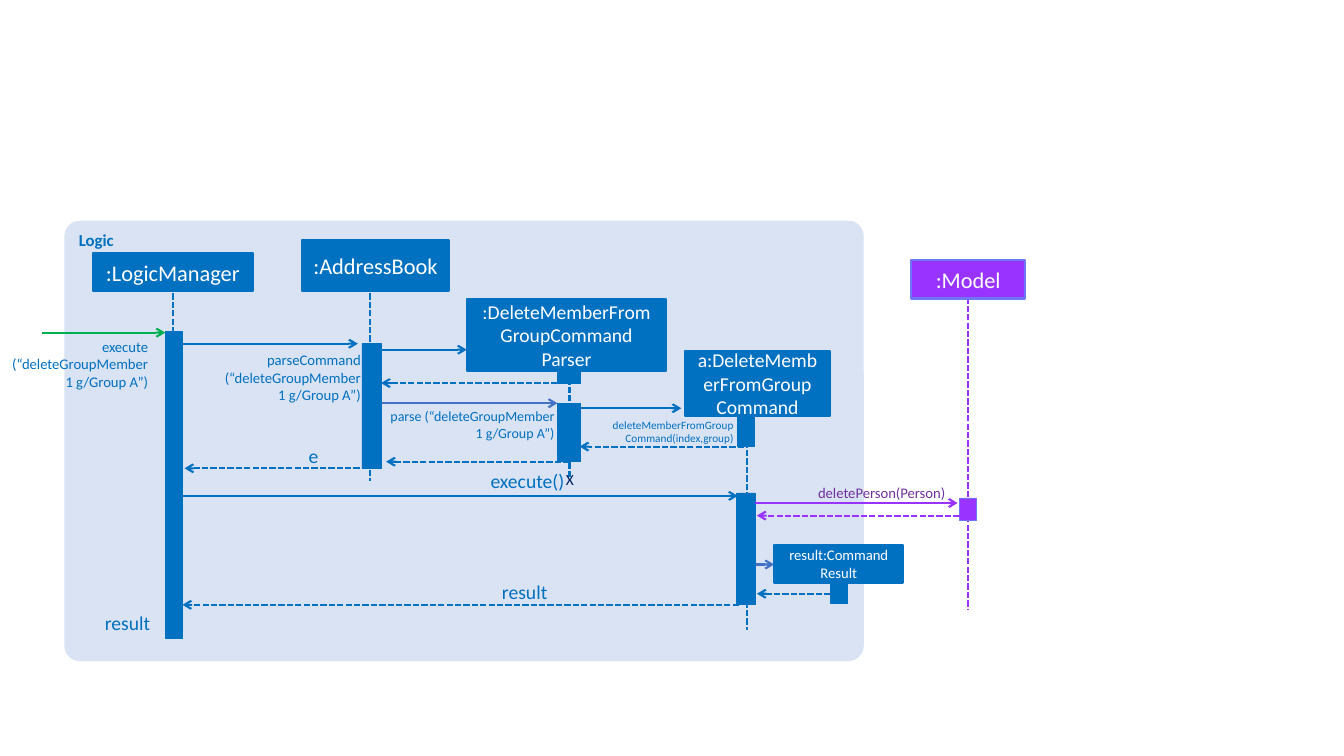
from lxml import etree
from pptx import Presentation
from pptx.dml.color import RGBColor
from pptx.enum import dml, shapes, text
from pptx.oxml import ns
from pptx.util import Pt

BLUE = RGBColor(0x00, 0x70, 0xC0)
MID_BLUE = RGBColor(0x44, 0x72, 0xC4)
NAVY = RGBColor(0x00, 0x20, 0x60)
PALE_BLUE = RGBColor(0xDA, 0xE3, 0xF3)
PERIWINKLE = RGBColor(0x6F, 0x75, 0xF7)
VIOLET = RGBColor(0x99, 0x33, 0xFF)
PURPLE = RGBColor(0x70, 0x30, 0xA0)
GREEN = RGBColor(0x00, 0xB0, 0x50)
WHITE = RGBColor(0xFF, 0xFF, 0xFF)

deck = Presentation()
deck.slide_width, deck.slide_height = Pt(960), Pt(540)
page = deck.slides.add_slide(deck.slide_layouts[6])


def add_block(wording, area, fill=None, border=None, weight=1.5, size=14,
              color=WHITE, bold=False, align=text.PP_ALIGN.CENTER,
              anchor=text.MSO_ANCHOR.MIDDLE, kind=shapes.MSO_SHAPE.RECTANGLE):
    """Add a filled shape with text, or a text box without margins if fill is None."""
    left, top, width, height = map(Pt, area)
    if fill is None:
        box = page.shapes.add_textbox(left, top, width, height)
        frame = box.text_frame
        frame.margin_left = frame.margin_right = 0
        frame.margin_top = frame.margin_bottom = 0
    else:
        box = page.shapes.add_shape(kind, left, top, width, height)
        box.shadow.inherit = False
        box.fill.solid()
        box.fill.fore_color.rgb = fill
        if border is None:
            box.line.fill.background()
        else:
            box.line.color.rgb = border
            box.line.width = Pt(weight)
        frame = box.text_frame
    frame.word_wrap = True
    frame.vertical_anchor = anchor
    frame.text = wording
    for para in frame.paragraphs:
        para.alignment = align
        for span in para.runs:
            span.font.name = "Calibri"
            span.font.size = Pt(size)
            span.font.bold = bold
            span.font.color.rgb = color
    return box


def add_line(start, end, color, dashed=False, arrow=True):
    line = page.shapes.add_connector(
        shapes.MSO_CONNECTOR.STRAIGHT, *map(Pt, (*start, *end)))
    line.line.color.rgb = color
    line.line.width = Pt(1.5)
    if dashed:
        line.line.dash_style = dml.MSO_LINE.SQUARE_DOT
    if arrow:
        etree.SubElement(line.line._get_or_add_ln(), ns.qn("a:tailEnd"), type="arrow")
    etree.SubElement(line._element.spPr, ns.qn("a:effectLst"))


panel = add_block("Logic", (46, 157.7, 571, 314.6), PALE_BLUE, size=12, color=BLUE,
                  bold=True, align=text.PP_ALIGN.LEFT, anchor=text.MSO_ANCHOR.TOP,
                  kind=shapes.MSO_SHAPE.ROUNDED_RECTANGLE)
panel.adjustments[0] = 0.035

# Lifelines: x, top, bottom, colour
for x, top, bottom, color in [
    (123.8, 209.5, 414, BLUE),
    (264.2, 209.5, 343.4, BLUE),
    (406.8, 264.2, 342, BLUE),
    (533.5, 297.4, 450, BLUE),
    (691.2, 212.4, 435.6, VIOLET),
]:
    add_line((x, top), (x, bottom), color, dashed=True, arrow=False)

# Participants
for name, area, size, fill, border in [
    (":LogicManager", (66.2, 180.7, 114.5, 27.4), 16, BLUE, BLUE),
    (":AddressBook", (216, 171.4, 104.4, 36.7), 16, BLUE, BLUE),
    (":DeleteMemberFromGroupCommand\nParser", (333.4, 213.8, 142.6, 51.1), 14, BLUE, BLUE),
    ("a:DeleteMemberFromGroup\vCommand", (489.6, 250.6, 103, 46.8), 14, BLUE, BLUE),
    (":Model", (650.9, 185.8, 81.4, 27.4), 16, VIOLET, PERIWINKLE),
    ("result:Command Result", (553, 389.5, 92.2, 26.6), 10.5, BLUE, BLUE),
]:
    add_block(name, area, fill, border, size=size)

# Activation bars
for area, fill, border in [
    ((118.1, 236.9, 12.2, 218.9), BLUE, BLUE),
    ((258.5, 245.5, 13.7, 89.3), BLUE, BLUE),
    ((398.2, 264.2, 16.6, 9.4), BLUE, BLUE),
    ((398.2, 288, 16.6, 41.8), BLUE, BLUE),
    ((527, 297.4, 12.2, 21.6), BLUE, BLUE),
    ((526.3, 352.1, 13, 79.9), BLUE, BLUE),
    ((593.3, 417.6, 12.2, 13.7), BLUE, BLUE),
    ((685.4, 355.7, 12.2, 15.8), VIOLET, PERIWINKLE),
]:
    add_block("", area, fill, border, weight=0.5)

# Messages: from x, to x, y, colour; those running left are dashed returns
for start, end, y, color in [
    (30.2, 118.1, 237.6, GREEN),
    (130.3, 255.6, 245.5, BLUE),
    (268.6, 333.4, 249.8, BLUE),
    (398.2, 272.2, 273.6, BLUE),
    (272.9, 398.2, 288, MID_BLUE),
    (414, 486.7, 291.6, BLUE),
    (531.4, 414, 319, BLUE),
    (406.8, 275.8, 329.8, BLUE),
    (257, 131.8, 334.5, BLUE),
    (130.3, 527, 354.2, BLUE),
    (539.3, 684, 359.3, VIOLET),
    (685.4, 540.7, 368.3, VIOLET),
    (540, 553, 403.2, MID_BLUE),
    (593.3, 540.7, 424.1, BLUE),
    (527.8, 130.3, 432, BLUE),
]:
    add_line((start, y), (end, y), color, dashed=end < start)

# Message labels
for wording, area, size, color in [
    ("execute\n(“deleteGroupMember\n1 g/Group A”)", (-17.3, 241.2, 123.1, 38.2), 10.5, BLUE),
    ("parseCommand\n(“deleteGroupMember\n1 g/Group A”)", (134.6, 250.6, 123.1, 38.2), 10.5, BLUE),
    ("parse (“deleteGroupMember\n1 g/Group A”)", (269.3, 290.9, 126.7, 37.4), 10, BLUE),
    ("deleteMemberFromGroup\nCommand(index,group)", (397.4, 298.8, 126.7, 28.8), 8, BLUE),
    ("e", (210.2, 316.8, 17.3, 17.3), 14, BLUE),
    ("execute()", (335.5, 334.8, 67.7, 17.3), 14, BLUE),
    ("X", (401, 335.5, 9, 13.7), 11, NAVY),
    ("deletePerson(Person)", (563, 345.6, 112.3, 13), 10.5, PURPLE),
    ("result", (342, 414, 49, 17.3), 14, BLUE),
    ("result", (47.5, 436.3, 59.8, 17.3), 14, BLUE),
]:
    add_block(wording, area, size=size, color=color, align=text.PP_ALIGN.RIGHT,
              anchor=text.MSO_ANCHOR.TOP)

deck.save("out.pptx")
